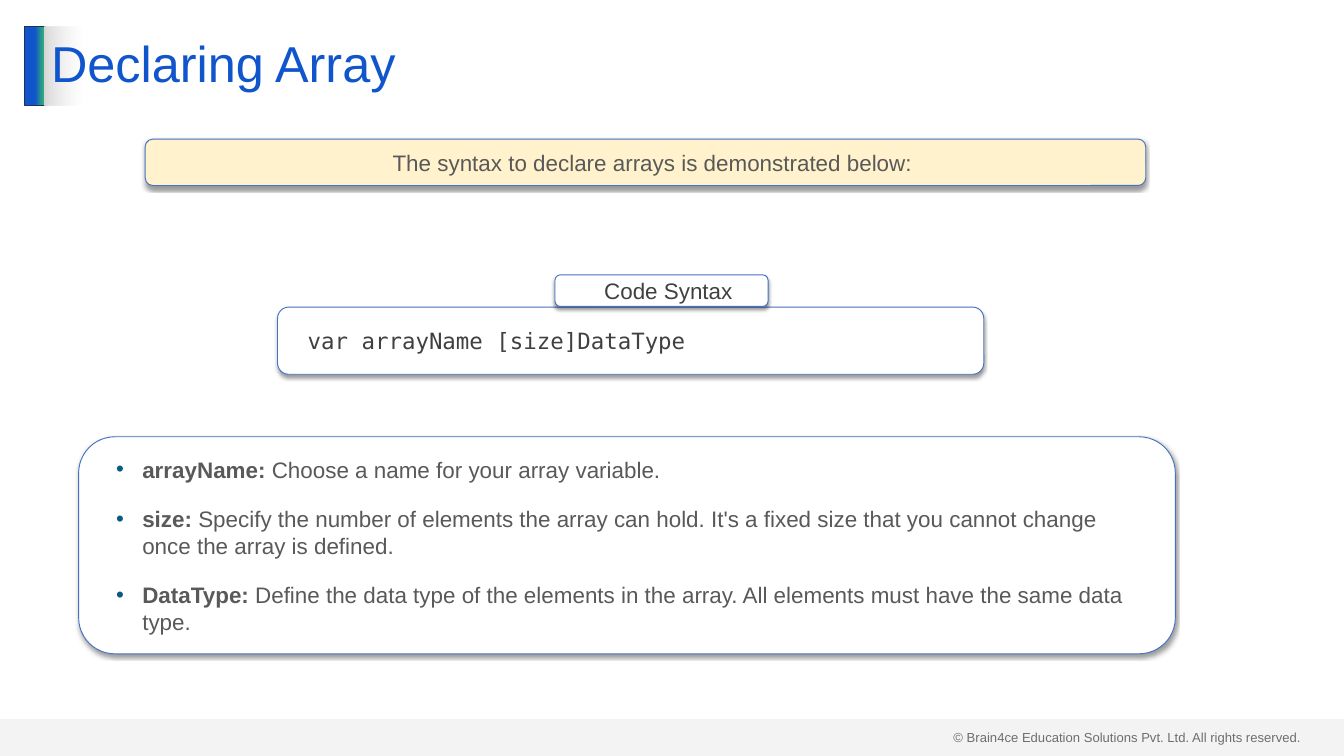
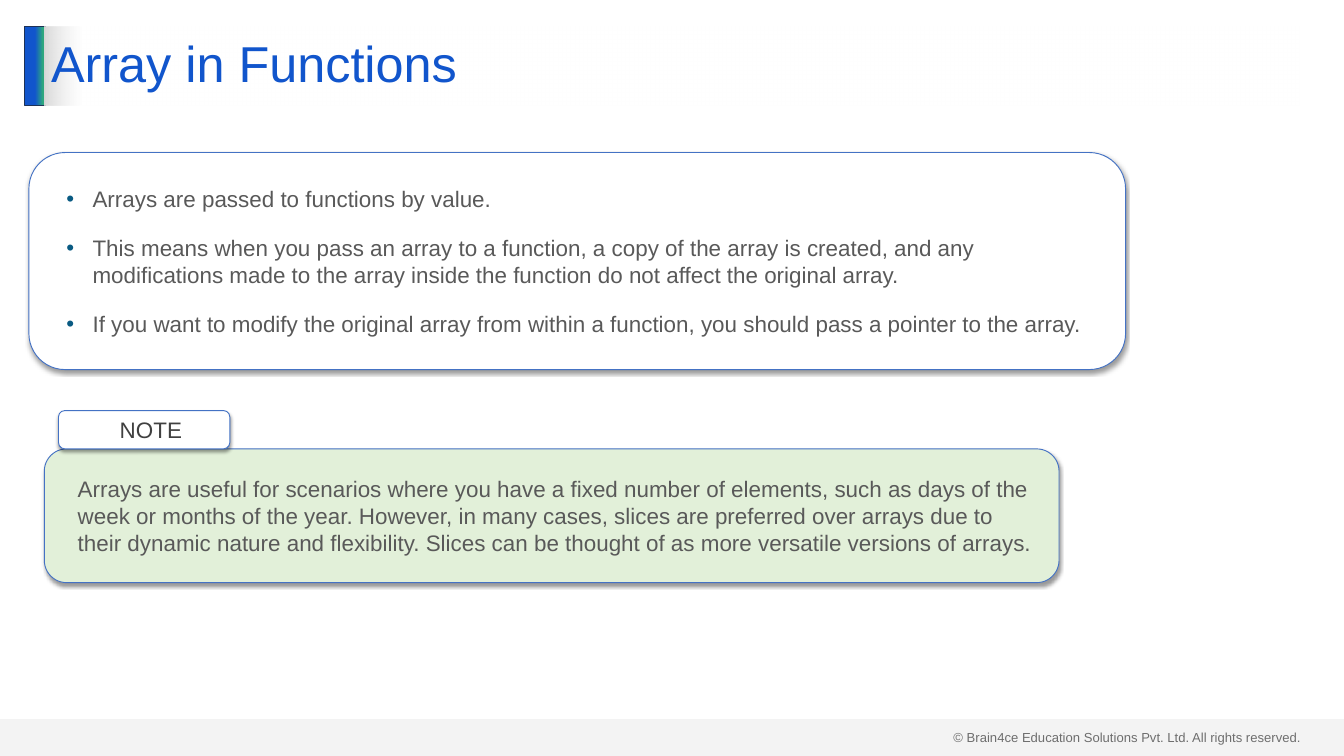
from dataclasses import dataclass

import pptx
import pptx.dml.color
import pptx.enum.shapes
import pptx.enum.text
import pptx.oxml
import pptx.oxml.ns
import pptx.util
from pptx.util import Inches, Pt

COLORS = {
    "blue": "1155CC", "green": "2EA87D", "navy": "1E3256", "outline": "4472C4",
    "grey": "D9D9D9", "white": "FFFFFF", "cream": "FFF2CC", "mint": "E2F0D9",
    "dark": "404040", "text": "595959", "bullet": "095A82", "shadow": "000000",
}
FONT, MONO = "Arial", "DejaVu Sans Mono"
SHAPES = pptx.enum.shapes.MSO_SHAPE
LEFT, CENTER = pptx.enum.text.PP_ALIGN.LEFT, pptx.enum.text.PP_ALIGN.CENTER
MIDDLE = pptx.enum.text.MSO_ANCHOR.MIDDLE
NO_FIT = pptx.enum.text.MSO_AUTO_SIZE.NONE
NS = pptx.oxml.ns.nsdecls("a")
COPYRIGHT = "© Brain4ce Education Solutions Pvt. Ltd. All rights reserved."
LIST_SIZE = (16.32, 3.23)


@dataclass
class Box:
    at: tuple[float, float, float, float]
    text: str
    fill: str = "white"
    color: str = "dark"
    font: str = FONT
    align: int = LEFT


@dataclass
class Page:
    title: str
    list_at: tuple[float, float]
    items: list[tuple[str, str]]  # bold lead, rest of the line
    boxes: list[Box]


PAGES = [
    Page("Declaring Array", (1.17, 6.5), [
        ("arrayName:", " Choose a name for your array variable."),
        ("size:", " Specify the number of elements the array can hold. It's a fixed size "
                  "that you cannot change once the array is defined."),
        ("DataType:", " Define the data type of the elements in the array. All elements "
                      "must have the same data type."),
    ], [
        Box((4.13, 4.57, 10.51, 1), "var arrayName [size]DataType", font=MONO),
        Box((8.26, 4.09, 3.17, 0.47), "Code Syntax", align=CENTER),
        Box((2.16, 2.07, 14.89, 0.69), "The syntax to declare arrays is demonstrated below:",
            "cream", "text", align=CENTER),
    ]),
    Page("Array in Functions", (0.43, 2.27), [
        ("", "Arrays are passed to functions by value."),
        ("", "This means when you pass an array to a function, a copy of the array is created, "
             "and any modifications made to the array inside the function do not affect the "
             "original array."),
        ("", "If you want to modify the original array from within a function, you should pass "
             "a pointer to the array."),
    ], [
        Box((0.66, 6.68, 15.1, 1.99),
            "Arrays are useful for scenarios where you have a fixed number of elements, such as "
            "days of the week or months of the year. However, in many cases, slices are "
            "preferred over arrays due to their dynamic nature and flexibility. Slices can be "
            "thought of as more versatile versions of arrays.", "mint", "text"),
        Box((0.87, 6.11, 2.55, 0.57), "NOTE", align=CENTER),
    ]),
]


def apply(target, values: dict) -> None:
    for name, value in values.items():
        setattr(target, name, value)


def rgb(name: str) -> pptx.dml.color.RGBColor:
    return pptx.dml.color.RGBColor.from_string(COLORS[name])


def color_xml(name: str, opacity: int = 100) -> str:
    return (f'<a:srgbClr val="{COLORS[name]}">'
            f'<a:alpha val="{opacity * 1000}"/></a:srgbClr>')


def place(sp, at: tuple[float, float, float, float]) -> None:
    apply(sp, dict(zip(("left", "top", "width", "height"), map(Inches, at))))


def set_line(sp, color: str) -> None:
    sp.line.color.rgb = rgb(color)
    sp.line.width = Pt(1)


def add_geometry(sp, preset: str) -> None:
    """Give a placeholder its own outline; call after place."""
    sp.element.spPr.append(pptx.oxml.parse_xml(
        f'<a:prstGeom {NS} prst="{preset}"><a:avLst/></a:prstGeom>'))


def add_gradient(sp, stops: list[tuple[int, str, int]]) -> None:
    """Fill left to right with (percent, colour, opacity) stops."""
    stops_xml = "".join(f'<a:gs pos="{pos * 1000}">{color_xml(color, opacity)}</a:gs>'
                        for pos, color, opacity in stops)
    geometry = sp.element.spPr.find(pptx.oxml.ns.qn("a:prstGeom"))
    geometry.addnext(pptx.oxml.parse_xml(
        f'<a:gradFill {NS} rotWithShape="1"><a:gsLst>{stops_xml}</a:gsLst>'
        '<a:lin ang="0" scaled="0"/></a:gradFill>'))


def add_run(p, text: str, size: int, color: str, font: str = FONT, bold: bool = False) -> None:
    r = p.add_run()
    r.text = text
    apply(r.font, {"size": Pt(size), "name": font, "bold": bold})
    r.font.color.rgb = rgb(color)


def style_card(sp, fill: str) -> None:
    """Outlined, softly shadowed card with roomy text margins."""
    sp.fill.solid()
    sp.fill.fore_color.rgb = rgb(fill)
    set_line(sp, "outline")
    sp.shadow.inherit = False
    effects = sp.element.spPr.find(pptx.oxml.ns.qn("a:effectLst"))
    effects.append(pptx.oxml.parse_xml(
        f'<a:outerShdw {NS} blurRad="{Pt(4)}" dist="{Pt(3)}" dir="5400000" algn="t" '
        f'rotWithShape="0">{color_xml("shadow", 40)}</a:outerShdw>'))
    apply(sp.text_frame, {
        "word_wrap": True, "auto_size": NO_FIT, "vertical_anchor": MIDDLE,
        "margin_left": Inches(0.2), "margin_right": Inches(0.2),
        "margin_top": Inches(0.1), "margin_bottom": Inches(0.1)})


def format_paragraph(p, align: int, indent: float, hanging: float = 0) -> None:
    pPr = p._p.get_or_add_pPr()
    pPr.set("marL", str(Inches(indent)))
    pPr.set("indent", str(-Inches(hanging)))
    apply(p, {"level": 1, "alignment": align, "space_before": Pt(0), "space_after": Pt(12)})


def add_bullet(p) -> None:
    for xml in (f'<a:buClr {NS}>{color_xml("bullet")}</a:buClr>',
                f'<a:buFont {NS} typeface="{FONT}"/>',
                f'<a:buChar {NS} char="•"/>'):
        p._p.get_or_add_pPr().append(pptx.oxml.parse_xml(xml))


def add_box(s, box: Box) -> None:
    sp = s.shapes.add_shape(SHAPES.ROUNDED_RECTANGLE, *map(Inches, box.at))
    style_card(sp, box.fill)
    p = sp.text_frame.paragraphs[0]
    format_paragraph(p, box.align, 0.2)
    add_run(p, box.text, 24, box.color, box.font)


def fill_title(sp, text: str) -> None:
    place(sp, (0.66, 0.39, 18.67, 1.18))
    add_geometry(sp, "rect")
    add_gradient(sp, [(0, "grey", 100), (3, "white", 50), (100, "white", 50)])
    tf = sp.text_frame
    apply(tf, {"word_wrap": True, "auto_size": NO_FIT, "vertical_anchor": MIDDLE})
    p = tf.paragraphs[0]
    apply(p, {"alignment": LEFT, "line_spacing": 0.9})
    add_run(p, text, 54, "blue")


def fill_list(sp, page: Page) -> None:
    place(sp, page.list_at + LIST_SIZE)
    add_geometry(sp, "roundRect")
    style_card(sp, "white")
    tf = sp.text_frame
    for i, (lead, text) in enumerate(page.items):
        p = tf.add_paragraph() if i else tf.paragraphs[0]
        add_bullet(p)
        format_paragraph(p, LEFT, 0.59, 0.39)
        if i:
            p.space_before = Pt(12)
        if lead:
            add_run(p, lead, 24, "text", bold=True)
        add_run(p, text, 24, "text")


def decorate_layout(layout, s) -> None:
    """Draw the footer and title accent on s, then move them to the layout."""
    footer = s.shapes.add_textbox(*map(Inches, (14.09, 10.8, 5.41, 0.34)))
    footer.text_frame.word_wrap = True
    add_run(footer.text_frame.paragraphs[0], COPYRIGHT, 14, "dark")

    accent = s.shapes.add_shape(SHAPES.RECTANGLE, *map(Inches, (0.37, 0.39, 0.3, 1.18)))
    add_gradient(accent, [(0, "blue", 100), (51, "blue", 100),
                          (90, "green", 100), (100, "green", 100)])
    set_line(accent, "navy")

    band = s.shapes.add_shape(SHAPES.RECTANGLE, *map(Inches, (0, 10.7, 20, 0.55)))
    add_gradient(band, [(0, "grey", 29), (100, "grey", 29)])
    band.line.fill.background()

    for sp in (accent, band):
        sp.shadow.inherit = False
    for shape_id, sp in enumerate((footer, accent, band), start=20):
        sp.element.nvSpPr.cNvPr.set("id", str(shape_id))
        layout.shapes.element.append(sp.element)


def main() -> None:
    prs = pptx.Presentation()
    apply(prs, {"slide_width": Inches(20), "slide_height": Inches(11.25)})
    layout = prs.slide_layouts[1]
    for i, page in enumerate(PAGES):
        s = prs.slides.add_slide(layout)
        if i == 0:
            decorate_layout(layout, s)
        fill_title(s.shapes.title, page.title)
        fill_list(s.placeholders[1], page)
        for box in page.boxes:
            add_box(s, box)
    prs.save("out.pptx")


if __name__ == "__main__":
    main()
